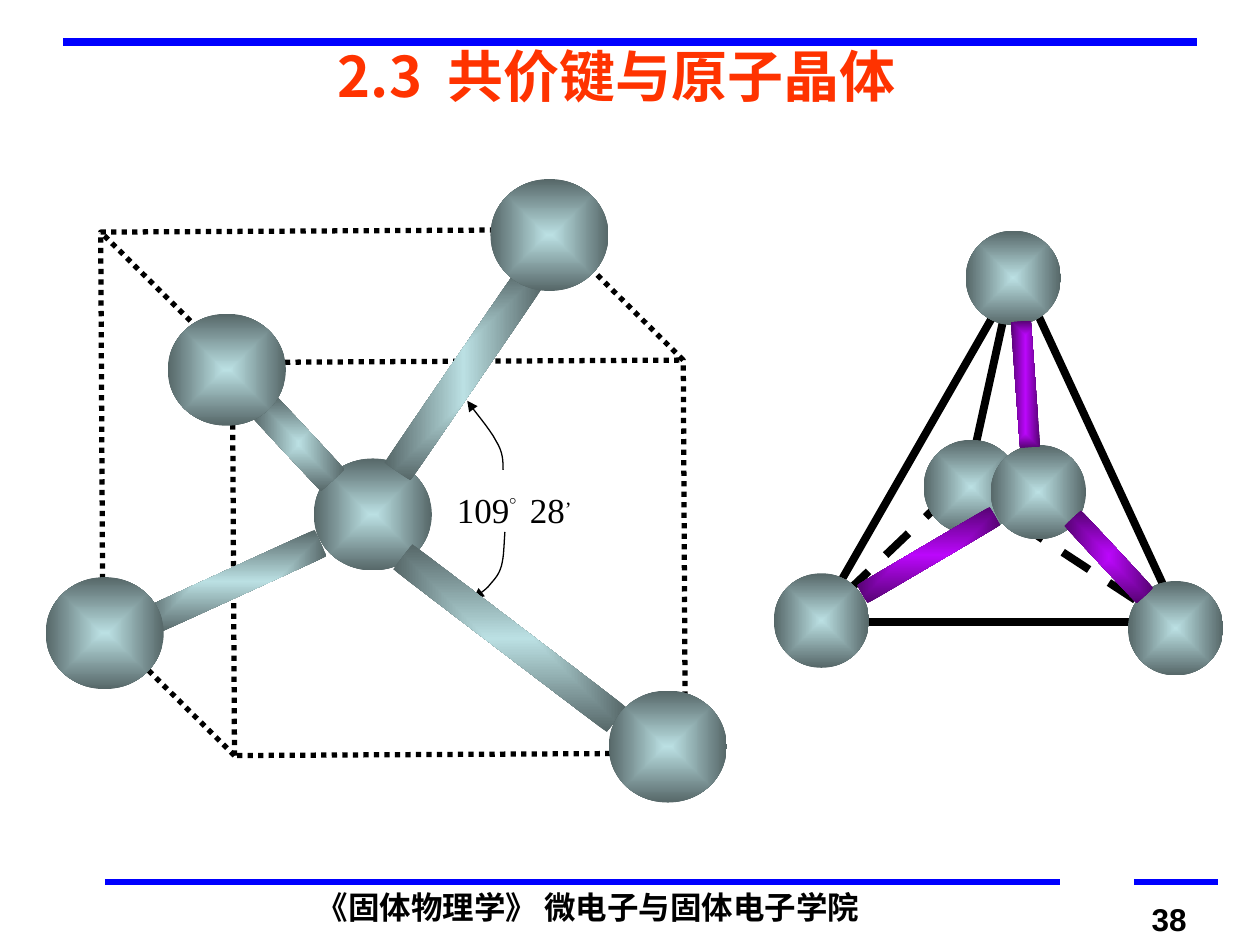
from dataclasses import dataclass

from lxml import etree
from pptx import Presentation
from pptx.dml.color import RGBColor
from pptx.enum.dml import MSO_LINE
from pptx.enum.shapes import MSO_CONNECTOR, MSO_SHAPE
from pptx.oxml.ns import qn
from pptx.util import Pt

STRAIGHT = MSO_CONNECTOR.STRAIGHT
BALL, ROD, CUBE = MSO_SHAPE.OVAL, MSO_SHAPE.RECTANGLE, MSO_SHAPE.CUBE
DASH, DOTS = MSO_LINE.DASH, MSO_LINE.ROUND_DOT


@dataclass(frozen=True)
class Theme:
    rule: str = "0000FF"
    title: str = "FF3300"
    ink: str = "000000"
    atom: tuple = ("BBE0E3", "566768")
    bond: tuple = ("BB07FB", "560373")
    cjk: str = "Noto Sans CJK SC"
    sans: str = "Arial"
    serif: str = "Times New Roman"
    title_size: int = 32
    label_size: int = 20
    footer_size: int = 18


def bezier(p0, p1, p2, p3, steps=8):
    for i in range(1, steps + 1):
        t = i / steps
        u = 1 - t
        yield tuple(u**3 * a + 3 * u * u * t * b + 3 * u * t * t * c + t**3 * d
                    for a, b, c, d in zip(p0, p1, p2, p3))


class Board:
    def __init__(self, slide, theme):
        self.shapes = slide.shapes
        self.theme = theme

    def text(self, left, top, width, height, runs, size, font, color, bold=True):
        frame = self.shapes.add_textbox(Pt(left), Pt(top), Pt(width), Pt(height)).text_frame
        frame.word_wrap = True
        for words, attributes in runs:
            run = frame.paragraphs[0].add_run()
            run.text = words
            run.font.size = Pt(size)
            run.font.bold = bold
            run.font.name = font
            run.font.color.rgb = RGBColor.from_string(color)
            properties = run.font._element
            etree.SubElement(properties, qn("a:ea")).set("typeface", font)
            for key, value in attributes.items():
                properties.set(key, str(value))

    def line(self, start, end, color, width=4.5, dash=None):
        edge = self.shapes.add_connector(STRAIGHT, *map(Pt, start + end))
        self.stroke(edge.line, color, width, dash)
        etree.SubElement(edge._element.spPr, qn("a:effectLst"))

    def stroke(self, line, color, width, dash=None):
        line.color.rgb = RGBColor.from_string(color)
        line.width = Pt(width)
        if dash:
            line.dash_style = dash

    def solid(self, kind, center, size, angle=0):
        (x, y), (width, height) = center, size
        body = self.shapes.add_shape(kind, Pt(x - width / 2), Pt(y - height / 2),
                                     Pt(width), Pt(height))
        body.rotation = angle
        body.shadow.inherit = False
        return body

    def shaded(self, kind, center, size, colors, angle=0):
        body = self.solid(kind, center, size, angle)
        body.line.fill.background()
        body.fill.gradient()
        for stop, color in zip(body.fill.gradient_stops, colors):
            stop.color.rgb = RGBColor.from_string(color)
        gradient = body._element.spPr.find(qn("a:gradFill"))
        gradient.remove(gradient.find(qn("a:lin")))
        path = etree.SubElement(gradient, qn("a:path"))
        path.set("path", "rect")
        focus = etree.SubElement(path, qn("a:fillToRect"))
        for side in "ltrb":
            focus.set(side, "50000")

    def unit_cell(self, center, size, angle):
        cell = self.solid(CUBE, center, size, angle)
        cell.fill.background()
        self.stroke(cell.line, self.theme.ink, 3, DOTS)

    def arc_arrow(self, start, *curves):
        points = [start]
        for curve in curves:
            points.extend(bezier(points[-1], *curve))
        points = [(Pt(x), Pt(y)) for x, y in points]
        builder = self.shapes.build_freeform(*points[0], scale=1.0)
        builder.add_line_segments(points[1:], close=False)
        arc = builder.convert_to_shape()
        arc.shadow.inherit = False
        arc.fill.background()
        self.stroke(arc.line, self.theme.ink, 0.75)
        outline = arc._element.spPr.find(qn("a:ln"))
        etree.SubElement(outline, qn("a:tailEnd")).set("type", "triangle")


def draw_frame(board):
    theme = board.theme
    for start, end, width in [((36, 24), (684, 24), 4.5),
                              ((60, 504), (606, 504), 3),
                              ((648, 504), (696, 504), 3)]:
        board.line(start, end, theme.rule, width)
    board.text(174, 504, 335, 29, [("《固体物理学》 微电子与固体电子学院", {})],
               theme.footer_size, theme.cjk, theme.ink)
    board.text(651, 511, 60, 29, [("38", {})], theme.footer_size, theme.sans, theme.ink)
    board.text(186, 20, 396, 46,
               [("2.3", {}), (" ", {"spc": 700}), ("共价键与原子晶体", {})],
               theme.title_size, theme.cjk, theme.title)


def draw_angle(board):
    theme = board.theme
    board.text(254, 272, 99, 35,
               [("109", {}), ("。", {"baseline": 60000}),
                ("28", {}), ("’", {"baseline": 20000})],
               theme.label_size, theme.serif, theme.ink, bold=False)
    board.arc_arrow((288.5, 304), ((288, 311), (288, 318), (286.5, 323.5)),
                    ((285, 328.5), (283, 330.5), (280, 334)),
                    ((278, 337), (272, 340.5), (270.5, 342)))
    board.arc_arrow((287.5, 268.5), ((287.5, 263.5), (287.5, 258.5), (283.5, 252)),
                    ((280, 245), (269, 232.5), (267, 229)))


def draw_tetrahedron(board):
    theme = board.theme
    edges = [((578, 161.5), (556.5, 259), None),
             ((542, 283), (468, 353.5), DASH),
             ((465, 355.5), (675.5, 355.5), None),
             ((579, 160.5), (466.5, 356.5), None),
             ((554.5, 281), (672, 358), DASH),
             ((592.5, 178.5), (669, 343.5), None)]
    for start, end, dash in edges:
        board.line(start, end, theme.ink, dash=dash)
    for center in [(671.8, 359), (555, 278.3), (579, 158.8), (593.3, 281.2), (469.4, 354.6)]:
        board.shaded(BALL, center, (54.5, 54), theme.atom)
    for center, size, angle in [((586, 219.6), (72, 11.5), 265.8),
                                ((633.6, 318.2), (60.5, 13), 227),
                                ((530.6, 317.2), (88, 12), 149.5)]:
        board.shaded(ROD, center, size, theme.bond, angle)


def draw_cubic_cell(board):
    theme = board.theme
    atom_size = (67.5, 64)
    board.unit_cell((224.6, 281.5), (299.5, 332.5), 269.7)
    board.shaded(BALL, (213, 294), atom_size, theme.atom)
    for center, size, angle in [((265, 214.2), (134, 18), 304.4),
                                ((291.2, 364.7), (153.5, 18), 37.3),
                                ((135, 332.3), (106, 16.5), 155.4),
                                ((170.6, 253.4), (57.5, 18.5), 227)]:
        board.shaded(ROD, center, size, theme.atom, angle)
    for center in [(59.8, 361.8), (129.6, 211.3), (381.6, 426.6), (314, 134.3)]:
        board.shaded(BALL, center, atom_size, theme.atom)


def main():
    deck = Presentation()
    deck.slide_width, deck.slide_height = Pt(720), Pt(540)
    board = Board(deck.slides.add_slide(deck.slide_layouts[6]), Theme())
    draw_frame(board)
    draw_angle(board)
    draw_tetrahedron(board)
    draw_cubic_cell(board)
    deck.save("out.pptx")


if __name__ == "__main__":
    main()
